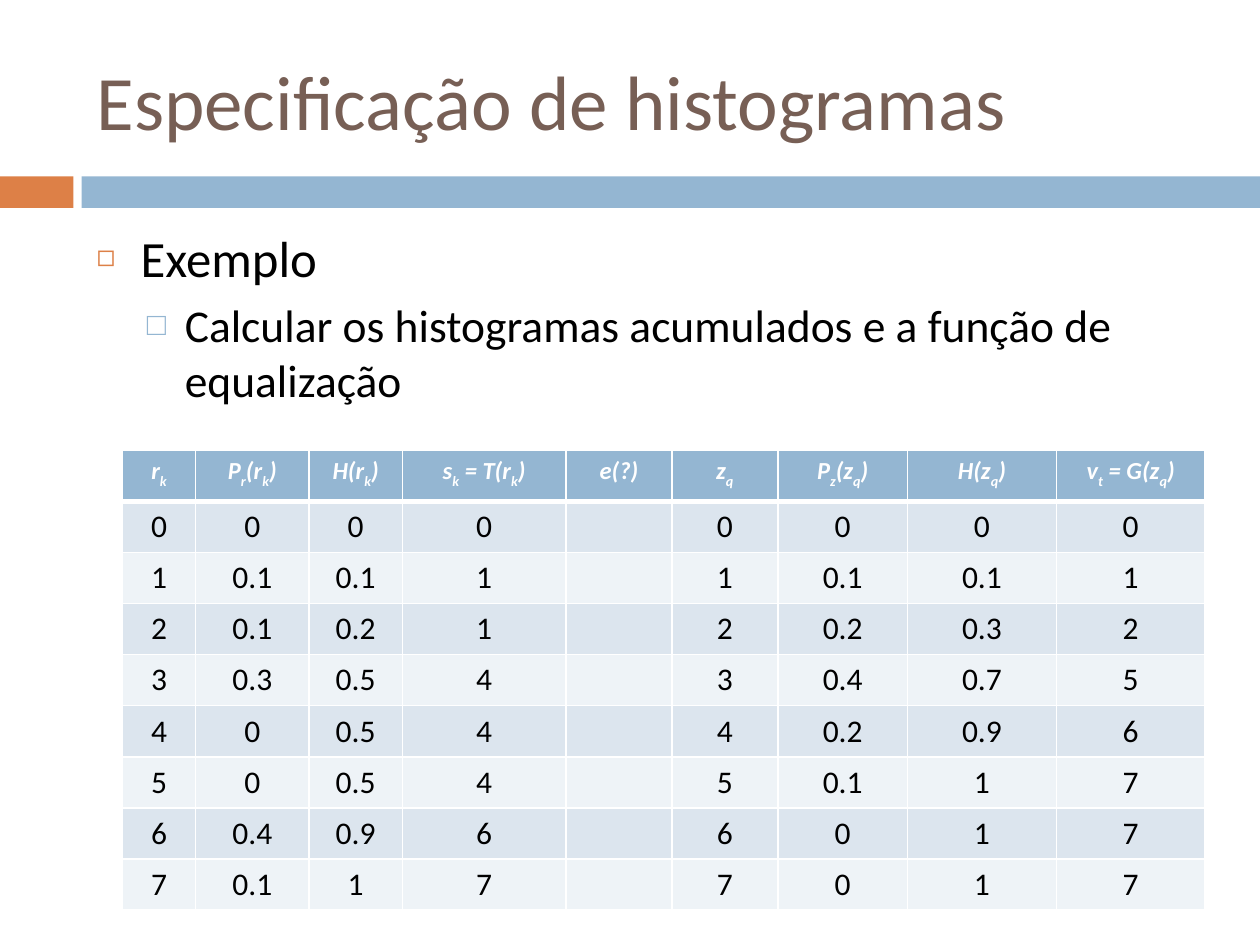
from dataclasses import dataclass

from lxml.etree import SubElement
from pptx import Presentation
from pptx.dml.color import RGBColor
from pptx.enum.shapes import MSO_SHAPE
from pptx.enum.text import MSO_ANCHOR, MSO_AUTO_SIZE, PP_ALIGN
from pptx.oxml.ns import qn
from pptx.util import Pt


@dataclass(frozen=True)
class Theme:
    font: str = "Calibri"
    title: str = "775F55"
    text: str = "000000"
    white: str = "FFFFFF"
    orange: str = "DD8047"
    blue: str = "94B6D2"
    bands: tuple[str, str] = ("DCE5EE", "EEF3F7")
    title_size: float = 44
    header_size: float = 14
    cell_size: float = 18


@dataclass(frozen=True)
class Box:
    left: float
    top: float
    width: float
    height: float


@dataclass(frozen=True)
class Bar:
    box: Box
    color: str


@dataclass(frozen=True)
class Bullet:
    text: str
    level: int
    size: float
    margin: float
    hanging: float
    space_before: float
    character: str
    color: str
    percent: int


THEME = Theme()
TITLE_BOX = Box(48, 18, 642, 78)
BODY_BOX = Box(48, 126, 642, 354)
BARS = (
    Bar(Box(0, 100.8, 42, 18), THEME.orange),
    Bar(Box(46.6, 100.8, 673.4, 18), THEME.blue),
)
BULLETS = (
    Bullet("Exemplo", 0, 29, 25.2, 25.2, 0, "◻", THEME.orange, 60),
    Bullet("Calcular os histogramas acumulados e a função de equalização",
           1, 26, 50.4, 21.6, 5.5, "□", THEME.blue, 70),
)
TABLE_LEFT, TABLE_TOP, ROW_HEIGHT = 70, 257.3, 29.2
COLUMN_WIDTHS = (41.8, 64.8, 53.3, 93.6, 60.5, 60.5, 74.2, 85, 85)
SUBSCRIPT_MARK = "|"
HEADERS = ("r|k", "P|r|(r|k|)", "H(r|k|)", "s|k| = T(r|k|)", "e(?)",
           "z|q", "P|z|(z|q|)", "H(z|q|)", "v|t| = G(z|q|)")
ROWS = (
    ("0", "0", "0", "0", "", "0", "0", "0", "0"),
    ("1", "0.1", "0.1", "1", "", "1", "0.1", "0.1", "1"),
    ("2", "0.1", "0.2", "1", "", "2", "0.2", "0.3", "2"),
    ("3", "0.3", "0.5", "4", "", "3", "0.4", "0.7", "5"),
    ("4", "0", "0.5", "4", "", "4", "0.2", "0.9", "6"),
    ("5", "0", "0.5", "4", "", "5", "0.1", "1", "7"),
    ("6", "0.4", "0.9", "6", "", "6", "0", "1", "7"),
    ("7", "0.1", "1", "7", "", "7", "0", "1", "7"),
)


def place(shape, box: Box) -> None:
    shape.left, shape.top = Pt(box.left), Pt(box.top)
    shape.width, shape.height = Pt(box.width), Pt(box.height)


def set_font(paragraph, size: float, color: str, bold: bool = False, italic: bool = False) -> None:
    font = paragraph.font
    font.name, font.size = THEME.font, Pt(size)
    font.bold, font.italic = bold, italic
    font.color.rgb = RGBColor.from_string(color)


def draw_bar(slide, bar: Bar) -> None:
    box = bar.box
    shape = slide.shapes.add_shape(
        MSO_SHAPE.RECTANGLE, Pt(box.left), Pt(box.top), Pt(box.width), Pt(box.height))
    shape.shadow.inherit = False
    shape.fill.solid()
    shape.fill.fore_color.rgb = RGBColor.from_string(bar.color)
    shape.line.fill.background()


def write_title(title, text: str) -> None:
    place(title, TITLE_BOX)
    frame = title.text_frame
    frame.text = text
    frame.auto_size = MSO_AUTO_SIZE.NONE
    frame.vertical_anchor = MSO_ANCHOR.MIDDLE
    paragraph = frame.paragraphs[0]
    paragraph.alignment = PP_ALIGN.LEFT
    set_font(paragraph, THEME.title_size, THEME.title)


def write_bullet(paragraph, bullet: Bullet) -> None:
    paragraph.text = bullet.text
    paragraph.level = bullet.level
    paragraph.space_before = Pt(bullet.space_before)
    properties = paragraph._p.get_or_add_pPr()
    properties.set("marL", str(Pt(bullet.margin)))
    properties.set("indent", str(-Pt(bullet.hanging)))
    color = SubElement(properties, qn("a:buClr"))
    SubElement(color, qn("a:srgbClr"), val=bullet.color)
    SubElement(properties, qn("a:buSzPct"), val=str(bullet.percent * 1000))
    SubElement(properties, qn("a:buChar"), char=bullet.character)
    set_font(paragraph, bullet.size, THEME.text)


def write_body(body, bullets: tuple[Bullet, ...]) -> None:
    place(body, BODY_BOX)
    frame = body.text_frame
    frame.auto_size = MSO_AUTO_SIZE.NONE
    for index, bullet in enumerate(bullets):
        paragraph = frame.add_paragraph() if index else frame.paragraphs[0]
        write_bullet(paragraph, bullet)


def format_cell(cell, fill: str, top: float, bottom: float) -> None:
    properties = cell._tc.get_or_add_tcPr()
    for side, width in (("L", 1), ("R", 1), ("T", top), ("B", bottom)):
        line = SubElement(properties, qn(f"a:ln{side}"), w=str(Pt(width)))
        solid = SubElement(line, qn("a:solidFill"))
        SubElement(solid, qn("a:srgbClr"), val=THEME.white)
    cell.fill.solid()
    cell.fill.fore_color.rgb = RGBColor.from_string(fill)


def write_cell(cell, text: str) -> None:
    paragraph = cell.text_frame.paragraphs[0]
    paragraph.alignment = PP_ALIGN.CENTER
    for index, part in enumerate(text.split(SUBSCRIPT_MARK)):
        if part:
            run = paragraph.add_run()
            run.text = part
            if index % 2:
                run._r.get_or_add_rPr().set("baseline", "-25000")


def draw_table(slide) -> None:
    contents = (HEADERS, *ROWS)
    table = slide.shapes.add_table(
        len(contents), len(HEADERS), Pt(TABLE_LEFT), Pt(TABLE_TOP),
        Pt(sum(COLUMN_WIDTHS)), Pt(ROW_HEIGHT * len(contents))).table
    for column, width in zip(table.columns, COLUMN_WIDTHS):
        column.width = Pt(width)
    for row_index, texts in enumerate(contents):
        table.rows[row_index].height = Pt(ROW_HEIGHT)
        header = row_index == 0
        fill = THEME.blue if header else THEME.bands[(row_index - 1) % 2]
        for column_index, text in enumerate(texts):
            cell = table.cell(row_index, column_index)
            format_cell(cell, fill, 3 if row_index == 1 else 1, 3 if header else 1)
            write_cell(cell, text)
            set_font(cell.text_frame.paragraphs[0],
                     THEME.header_size if header else THEME.cell_size,
                     THEME.white if header else THEME.text, header, header)


def main() -> None:
    presentation = Presentation()
    presentation.slide_width, presentation.slide_height = Pt(720), Pt(540)
    slide = presentation.slides.add_slide(presentation.slide_layouts[1])
    for bar in BARS:
        draw_bar(slide, bar)
    write_title(slide.shapes.title, "Especificação de histogramas")
    write_body(slide.placeholders[1], BULLETS)
    draw_table(slide)
    presentation.save("out.pptx")


if __name__ == "__main__":
    main()
